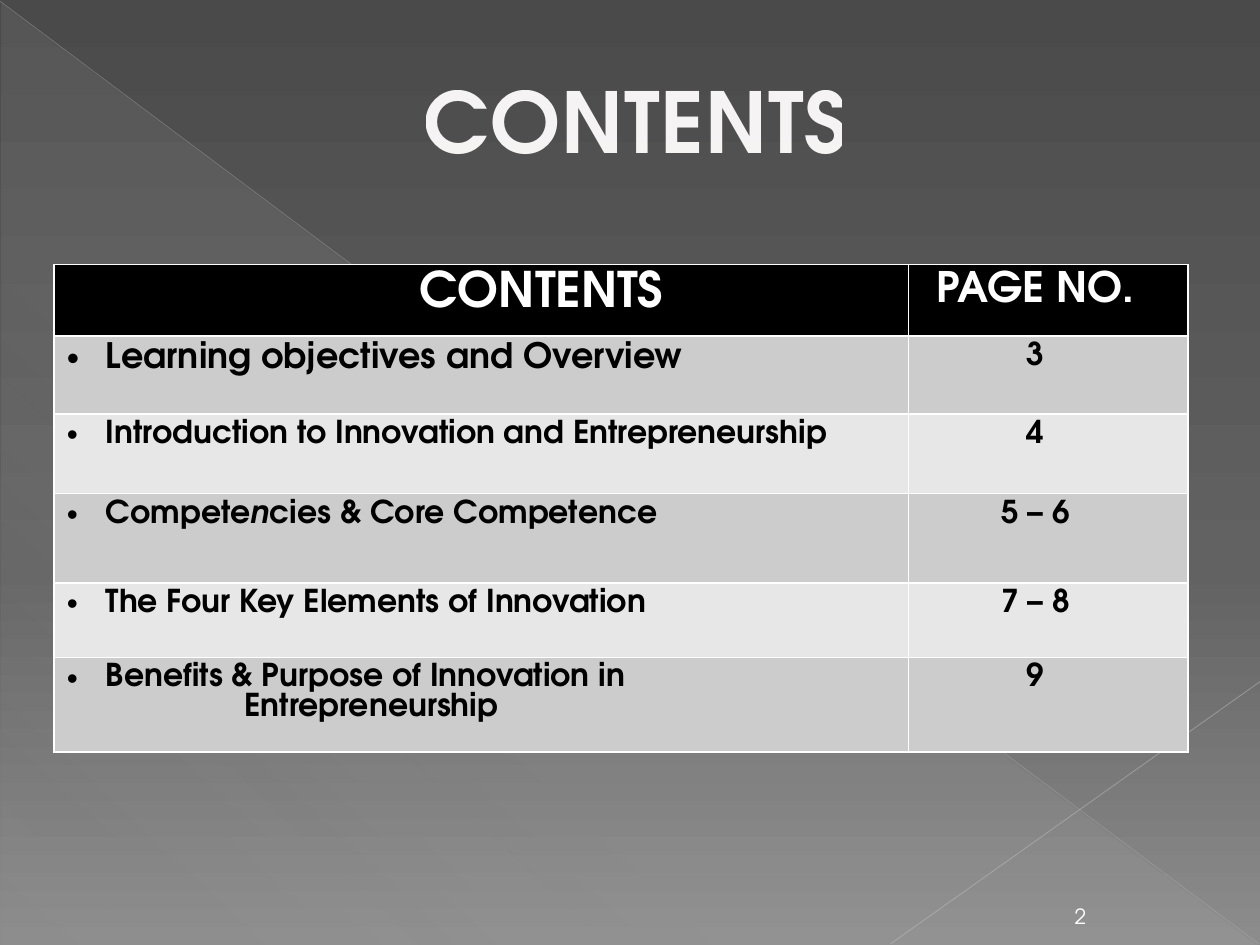
"""Build the contents slide."""
from lxml import etree
from pptx import Presentation
from pptx.dml.color import RGBColor
from pptx.enum import shapes as sh, text as t
from pptx.oxml import ns
from pptx.util import Inches, Pt

FONT = "TeX Gyre Adventor"


def add(node, tag, **attrs):
    kid = etree.SubElement(node, ns.qn(tag))
    for key, val in attrs.items():
        kid.set(key, str(val))
    return kid


def style(par, size, color, bold=True):
    for run in par.runs:
        run.font.name, run.font.size, run.font.bold = FONT, Pt(size), bold
        run.font.color.rgb = RGBColor.from_string(color)


deck = Presentation()
deck.slide_width, deck.slide_height = Inches(10), Inches(7.5)
slide = deck.slides.add_slide(deck.slide_layouts[6])
items = slide.shapes

wedge = items.add_shape(sh.MSO_SHAPE.RIGHT_TRIANGLE, Inches(0.01), Inches(0.02),
                        Inches(9.98), Inches(7.48))
wedge.shadow.inherit = False
wedge.line.fill.background()
fades = [
    (slide.background.fill, slide.element, 90,
     [(0, "4A4A4A", 100), (60, "626262", 100), (100, "8C8C8C", 100)]),
    (wedge.fill, wedge.element, 133,
     [(0, "D2D2D2", 10), (70, "D2D2D2", 8), (100, "D2D2D2", 1)]),
]
for fill, node, angle, stops in fades:
    fill.gradient()
    grad = next(node.iter(ns.qn("a:gradFill")))
    for kid in list(grad):
        grad.remove(kid)
    group = add(grad, "a:gsLst")
    for pos, color, alpha in stops:
        tint = add(add(group, "a:gs", pos=pos * 1000), "a:srgbClr", val=color)
        add(tint, "a:alpha", val=alpha * 1000)
    add(grad, "a:lin", ang=angle * 60000, scaled=0)

rays = [(0, 0.01, 9.99, 7.49, "BFBFBF", 0.39, 35),
        (10, 5.41, 7.07, 7.49, "C6C6C6", 0.47, 45)]
for *ends, color, width, alpha in rays:
    ray = items.add_connector(sh.MSO_CONNECTOR.STRAIGHT, *map(Inches, ends))
    ray.line.width = Pt(width)
    ray.line.color.rgb = RGBColor.from_string(color)
    add(next(ray.element.iter(ns.qn("a:srgbClr"))), "a:alpha", val=alpha * 1000)
    add(ray.element.spPr, "a:effectLst")

labels = [
    ("CONTENTS", (0.6, 0.29, 8.9, 1.33), 48, "FFFCFC", True, t.MSO_ANCHOR.MIDDLE),
    ("2", (8.3, 7.09, 0.55, 0.33), 12, "FFFFFF", False, t.MSO_ANCHOR.BOTTOM),
]
for words, box, size, color, bold, anchor in labels:
    frame = items.add_textbox(*map(Inches, box)).text_frame
    frame.word_wrap, frame.vertical_anchor = True, anchor
    frame.text = words
    par = frame.paragraphs[0]
    par.alignment = t.PP_ALIGN.CENTER
    style(par, size, color, bold)
    if bold:
        props = par.runs[0].font._element
        props.set("spc", "50")
        add(next(props.iter(ns.qn("a:srgbClr"))), "a:alpha", val=95000)

rows = [
    (0.5, "CONTENTS", "PAGE NO."),
    (0.62, "Learning objectives and Overview", "3"),
    (0.63, "Introduction to Innovation and Entrepreneurship", "4"),
    (0.71, "Competencies & Core Competence", "5 – 6"),
    (0.59, "The Four Key Elements of Innovation", "7 – 8"),
    (0.75, "Benefits & Purpose of Innovation in\nEntrepreneurship", "9"),
]
table = items.add_table(len(rows), 2, Inches(0.43), Inches(2.1),
                        Inches(9), Inches(3.8)).table
table.columns[0].width, table.columns[1].width = Inches(6.78), Inches(2.22)
for i, (height, topic, page) in enumerate(rows):
    table.rows[i].height = Inches(height)
    back = "000000" if i == 0 else ("E7E7E7", "CCCCCC")[i % 2]
    ink = "000000" if i else "FFFFFF"
    left, right = table.cell(i, 0), table.cell(i, 1)
    for cell, words in ((left, topic), (right, page)):
        cell.fill.solid()
        cell.fill.fore_color.rgb = RGBColor.from_string(back)
        cell.text_frame.text = words
    right.margin_right = Inches(0.3)
    par = right.text_frame.paragraphs[0]
    par.alignment = t.PP_ALIGN.CENTER
    style(par, 18 if i else 24, ink)

    for j, par in enumerate(left.text_frame.paragraphs):
        if i == 3:
            start, mid, end = topic.partition("cies")[0][:-1], "n", "cies & Core Competence"
            par.runs[0].text = start
            for part in (mid, end):
                par.add_run().text = part
            par.runs[1].font.italic = True
        style(par, {0: 28, 1: 20}.get(i, 18), ink)
        props = par._p.get_or_add_pPr()
        if i and j == 0:
            props.set("marL", str(Inches(0.31)))
            props.set("indent", str(-Inches(0.31)))
            add(props, "a:buFont", typeface="Arial")
            add(props, "a:buChar", char="•")
        else:
            props.set("marL", str(Inches(1.41 if i else 2.8)))

deck.save("out.pptx")
